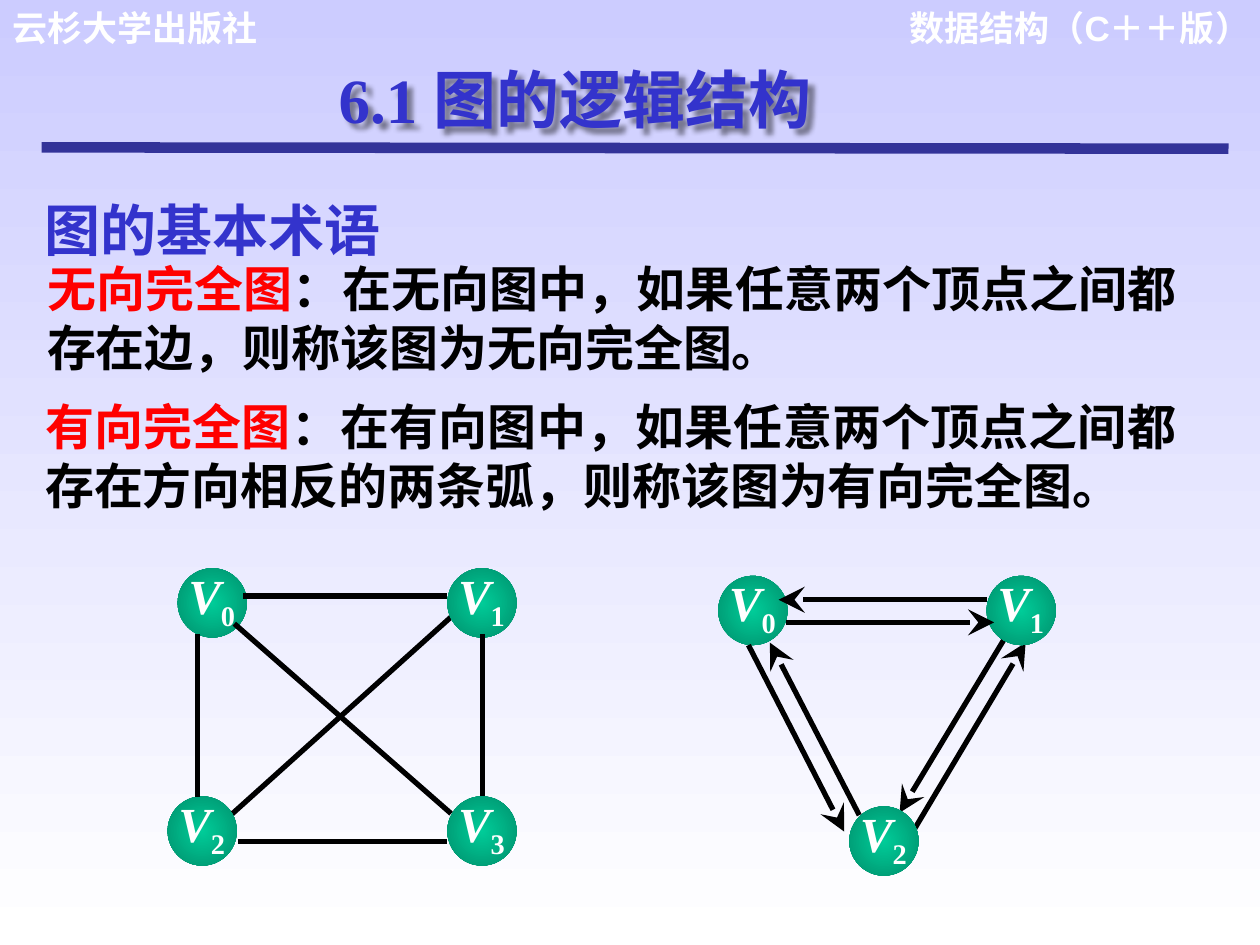
"""Build the slide on complete undirected and directed graphs."""
import pptx
import pptx.util
import pptx.dml.color
import pptx.enum.shapes
import pptx.enum.text
import pptx.oxml
import pptx.oxml.ns

hues = {"sky": "CCCCFF", "white": "FFFFFF", "navy": "333399", "blue": "3333CC",
        "red": "FF0000", "black": "000000", "green": "00CC99", "deep": "008F6B"}
paint = {k: pptx.dml.color.RGBColor.from_string(v) for k, v in hues.items()}
space = pptx.oxml.ns.nsdecls("a")
align = pptx.enum.text.PP_ALIGN
serif, sans = "Times New Roman", "Arial"

deck = pptx.Presentation()
deck.slide_width = pptx.util.Inches(10)
deck.slide_height = pptx.util.Inches(7.5)
col, row = deck.slide_width / 100, deck.slide_height / 75
slide = deck.slides.add_slide(deck.slide_layouts[6])
shapes = slide.shapes


def text(runs, x, y, wide, high, size=28, side=align.LEFT, pads=(1, 0.5, 1, 0.5), glow=False):
    box = shapes.add_textbox(int(x * col), int(y * row), int(wide * col), int(high * row))
    if glow:
        box.element.spPr.append(pptx.oxml.parse_xml(
            f'<a:effectLst {space}><a:outerShdw blurRad="38100" dist="53900" dir="2700000">'
            f'<a:srgbClr val="{hues["black"]}"><a:alpha val="43000"/></a:srgbClr>'
            '</a:outerShdw></a:effectLst>'))
    frame = box.text_frame
    frame.word_wrap = True
    frame.margin_left, frame.margin_top, frame.margin_right, frame.margin_bottom = (
        int(pad * row) for pad in pads)
    para = frame.paragraphs[0]
    para.alignment = side
    for words, face, hue, *style in runs:
        run = para.add_run()
        run.text = words
        font = run.font
        font.size, font.bold, font.name = pptx.util.Pt(size), True, face
        font.italic = "slant" in style
        font.color.rgb = paint[hue]
        if "sub" in style:
            run._r.get_or_add_rPr().set("baseline", "-25000")


def line(x1, y1, x2, y2, head=False, hue="black", width=3):
    edge = shapes.add_connector(pptx.enum.shapes.MSO_CONNECTOR.STRAIGHT,
                                int(x1 * col), int(y1 * row), int(x2 * col), int(y2 * row))
    edge.line.color.rgb = paint[hue]
    edge.line.width = pptx.util.Pt(width)
    props = edge.element.spPr
    if head:
        props.find(pptx.oxml.ns.qn("a:ln")).append(pptx.oxml.parse_xml(
            f'<a:tailEnd {space} type="stealth" w="lg" len="lg"/>'))
    props.append(pptx.oxml.parse_xml(f"<a:effectLst {space}/>"))


back = slide.background.fill
back.gradient()
back.gradient_angle = 270
for stop, hue in zip(back.gradient_stops, ("sky", "white")):
    stop.color.rgb = paint[hue]

text([("数据结构（C＋＋版）", sans, "white")], 70, 0, 30.2, 4.3, size=20, side=align.RIGHT)
text([("云杉大学出版社", sans, "white")], 0, 0, 27.1, 4.3, size=20)
line(3.3, 11.7, 97.5, 11.8, hue="navy", width=6)
text([("无向完全图", serif, "red"),
      ("：在无向图中，如果任意两个顶点之间都存在边，", serif, "black"),
      ("则称该图为无向完全图。", sans, "black")],
     2.75, 20.05, 91.7, 10.3, side=align.JUSTIFY)
text([("有向完全图", serif, "red"),
      ("：在有向图中，如果任意两个顶点之间都存在方向相反的两条弧，", serif, "black"),
      ("则称该图为有向完全图。", sans, "black")],
     2.6, 31, 90.8, 10.3, side=align.JUSTIFY, pads=(1, 0.5, 0, 0.5))
text([("图的基本术语", sans, "blue")], 2.55, 15, 53.3, 6.3, size=32)

under = [(72.4, 66.1, 81.4, 51, True), (79.9, 50.4, 71.4, 64.5, True),
         (36.1, 48.7, 18.2, 64.8)]
over = [(59.4, 51.2, 67, 66, True), (68.2, 64.7, 61.1, 51, True),
        (62.4, 49.4, 78.9, 49.4, True), (78.3, 47.6, 61.8, 47.6, True),
        (19.3, 47.3, 35.5, 47.3), (38.3, 50.3, 38.3, 63.2),
        (18.6, 49.5, 35.8, 64.57), (15.7, 50.3, 15.7, 63.25), (18.9, 66.8, 35.5, 66.8)]
nodes = [(57, 45.7, "0"), (78.3, 45.7, "1"), (67.4, 64, "2"),
         (14.1, 45.1, "0"), (35.5, 45.1, "1"), (13.3, 63.2, "2"), (35.5, 63.2, "3")]

for ends in under:
    line(*ends)
for x, y, mark in nodes:
    ball = shapes.add_shape(pptx.enum.shapes.MSO_SHAPE.OVAL, int(x * col), int(y * row),
                            int(5.5 * col), int(5.5 * row))
    ball.shadow.inherit = False
    ball.line.fill.background()
    ball.fill.gradient()
    for stop, hue in zip(ball.fill.gradient_stops, ("green", "deep")):
        stop.color.rgb = paint[hue]
    blend = ball.element.spPr.find(pptx.oxml.ns.qn("a:gradFill"))
    blend.replace(blend.find(pptx.oxml.ns.qn("a:lin")), pptx.oxml.parse_xml(
        f'<a:path {space} path="circle">'
        '<a:fillToRect l="50000" t="50000" r="50000" b="50000"/></a:path>'))
    text([("V", serif, "white", "slant"), (mark, serif, "white", "sub")],
         x + 0.75, y - 0.55, 5.1, 6.5, side=align.JUSTIFY, pads=(0.1, 0.3, 0, 0.1))
for ends in over:
    line(*ends)

text([("6.1 图的逻辑结构", serif, "blue")], 25.9, 4.3, 41.7, 7, size=36, glow=True)

deck.save("out.pptx")
